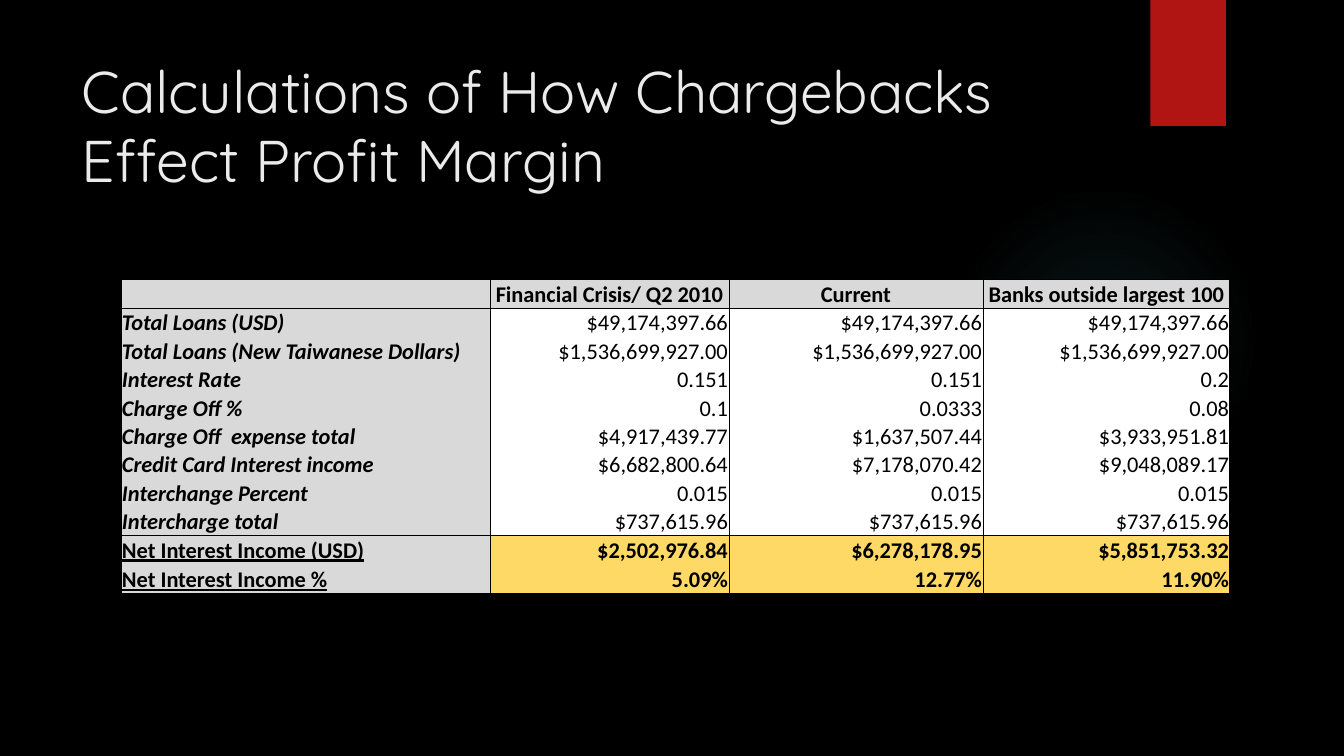
"""Build a slide with a table of chargeback effects on profit margin."""
from lxml import etree
from pptx import Presentation
from pptx import util as u
from pptx.dml import color
from pptx.enum import shapes, text
from pptx.oxml import ns

BLACK, GREY, WHITE, GOLD = "000000", "D9D9D9", "FFFFFF", "FFD966"
RED, TEAL, TITLE_COLOUR = "B01513", "50B9C1", "EBEBEB"

ROWS = [
    ("", "Financial Crisis/ Q2 2010", "Current", "Banks outside largest 100"),
    ("Total Loans (USD)",) + ("$49,174,397.66",) * 3,
    ("Total Loans (New Taiwanese Dollars)",) + ("$1,536,699,927.00",) * 3,
    ("Interest Rate", "0.151", "0.151", "0.2"),
    ("Charge Off %", "0.1", "0.0333", "0.08"),
    ("Charge Off  expense total", "$4,917,439.77", "$1,637,507.44", "$3,933,951.81"),
    ("Credit Card Interest income", "$6,682,800.64", "$7,178,070.42", "$9,048,089.17"),
    ("Interchange Percent",) + ("0.015",) * 3,
    ("Intercharge total",) + ("$737,615.96",) * 3,
    ("Net Interest Income (USD)", "$2,502,976.84", "$6,278,178.95", "$5,851,753.32"),
    ("Net Interest Income %", "5.09%", "12.77%", "11.90%"),
]
COLUMN_WIDTHS = [3.66, 2.37, 2.52, 2.45]
FIRST_TOTAL = 9


def rgb(value):
    """Turn a hex string into a colour."""
    return color.RGBColor.from_string(value)


def inches(*lengths):
    """Turn numbers into lengths in inches."""
    return [u.Inches(length) for length in lengths]


def add_element(parent, tag, **attributes):
    """Append a DrawingML element with the given attributes."""
    return etree.SubElement(parent, ns.qn(tag), {key: str(value) for key, value in attributes.items()})


def write(frame, words, size=16, font="Calibri", colour=BLACK, bold=False, italic=False,
          underline=False, align=text.PP_ALIGN.LEFT, spacing=None):
    """Put one formatted paragraph into a text frame."""
    paragraph = frame.paragraphs[0]
    paragraph.alignment = align
    paragraph.line_spacing = spacing
    run = paragraph.add_run()
    run.text = words
    run.font.size, run.font.name = u.Pt(size), font
    run.font.bold, run.font.italic, run.font.underline = bold, italic, underline
    run.font.color.rgb = rgb(colour)


class SlideBuilder:
    """Hold the slide and draw its elements."""

    def __init__(self, presentation):
        """Add a title-only slide on a black background."""
        self.slide = presentation.slides.add_slide(presentation.slide_layouts[5])
        self.slide.background.fill.solid()
        self.slide.background.fill.fore_color.rgb = rgb(BLACK)

    def shape(self, kind, box, colour):
        """Draw a filled shape without outline."""
        shape = self.slide.shapes.add_shape(kind, *inches(*box))
        shape.shadow.inherit = False
        shape.fill.solid()
        shape.fill.fore_color.rgb = rgb(colour)
        shape.line.fill.background()
        return shape

    def glow(self, box, colour, stops):
        """Draw a circle that fades out from its centre."""
        shape = self.shape(shapes.MSO_SHAPE.OVAL, box, colour)
        solid = shape.element.spPr.find(ns.qn("a:solidFill"))
        gradient = etree.Element(ns.qn("a:gradFill"), rotWithShape="1")
        stop_list = add_element(gradient, "a:gsLst")
        for position, opacity in stops:
            stop = add_element(stop_list, "a:gs", pos=position * 1000)
            stop_colour = add_element(stop, "a:srgbClr", val=colour)
            add_element(stop_colour, "a:alpha", val=opacity * 1000)
        circle = add_element(gradient, "a:path", path="circle")
        add_element(circle, "a:fillToRect", l=50000, t=50000, r=50000, b=50000)
        shape.element.spPr.replace(solid, gradient)

    def title(self, words, box):
        """Place and format the title."""
        title = self.slide.shapes.title
        title.left, title.top, title.width, title.height = inches(*box)
        frame = title.text_frame
        frame.auto_size = text.MSO_AUTO_SIZE.NONE
        frame.word_wrap = True
        frame.vertical_anchor = text.MSO_ANCHOR.MIDDLE
        write(frame, words, size=42, font="Quicksand", colour=TITLE_COLOUR, spacing=0.97)

    def borders(self, cell, **widths):
        """Set the sides of a cell; a zero width hides the line."""
        properties = cell._tc.get_or_add_tcPr()
        for side in "LRTB":
            width = widths[side]
            line = add_element(properties, "a:ln" + side, w=u.Pt(width))
            if width:
                add_element(add_element(line, "a:solidFill"), "a:srgbClr", val=BLACK)
            else:
                add_element(line, "a:noFill")

    def cell(self, cell, words, row, column):
        """Fill and format one table cell by its place."""
        header, label, total = row == 0, column == 0, row >= FIRST_TOTAL
        last_row, last_column = len(ROWS) - 1, len(COLUMN_WIDTHS) - 1
        self.borders(
            cell,
            L=1 if label else 0.5,
            R=1 if column == last_column else 0.5,
            T=1 if header else 0.5 if row in (1, FIRST_TOTAL) else 0,
            B=1 if row == last_row else 0.5 if row in (0, FIRST_TOTAL - 1) else 0,
        )
        cell.fill.solid()
        cell.fill.fore_color.rgb = rgb(GREY if header or label else GOLD if total else WHITE)
        cell.margin_left = cell.margin_right = cell.margin_top = u.Inches(0.01)
        cell.margin_bottom = 0
        centred = row in (1, 2) and not label
        cell.vertical_anchor = text.MSO_ANCHOR.MIDDLE if centred else text.MSO_ANCHOR.BOTTOM
        align = text.PP_ALIGN.LEFT if label else text.PP_ALIGN.CENTER if header else text.PP_ALIGN.RIGHT
        write(cell.text_frame, words, bold=header or label or total,
              italic=label and not total, underline=label and total, align=align)

    def table(self, rows, box, widths):
        """Draw the table of figures."""
        table = self.slide.shapes.add_table(len(rows), len(widths), *inches(*box)).table
        table.first_row = table.horz_banding = False
        for column, width in zip(table.columns, widths):
            column.width = u.Inches(width)
        for row, values in enumerate(rows):
            table.rows[row].height = u.Inches(0.29 if row == len(rows) - 1 else 0.28)
            for column, words in enumerate(values):
                self.cell(table.cell(row, column), words, row, column)


def main():
    """Build and save the presentation."""
    presentation = Presentation()
    presentation.slide_width, presentation.slide_height = inches(13.33, 7.5)
    builder = SlideBuilder(presentation)
    builder.glow((9.41, 1.83, 3.08, 3.08), TEAL, [(0, 7), (36, 6), (69, 0)])
    builder.shape(shapes.MSO_SHAPE.RECTANGLE, (11.41, 0, 0.75, 1.25), RED)
    builder.title("Calculations of How Chargebacks Effect Profit Margin", (0.71, 0.5, 10.29, 1.53))
    builder.table(ROWS, (1.2, 2.77, 11, 3.1), COLUMN_WIDTHS)
    presentation.save("out.pptx")


if __name__ == "__main__":
    main()
